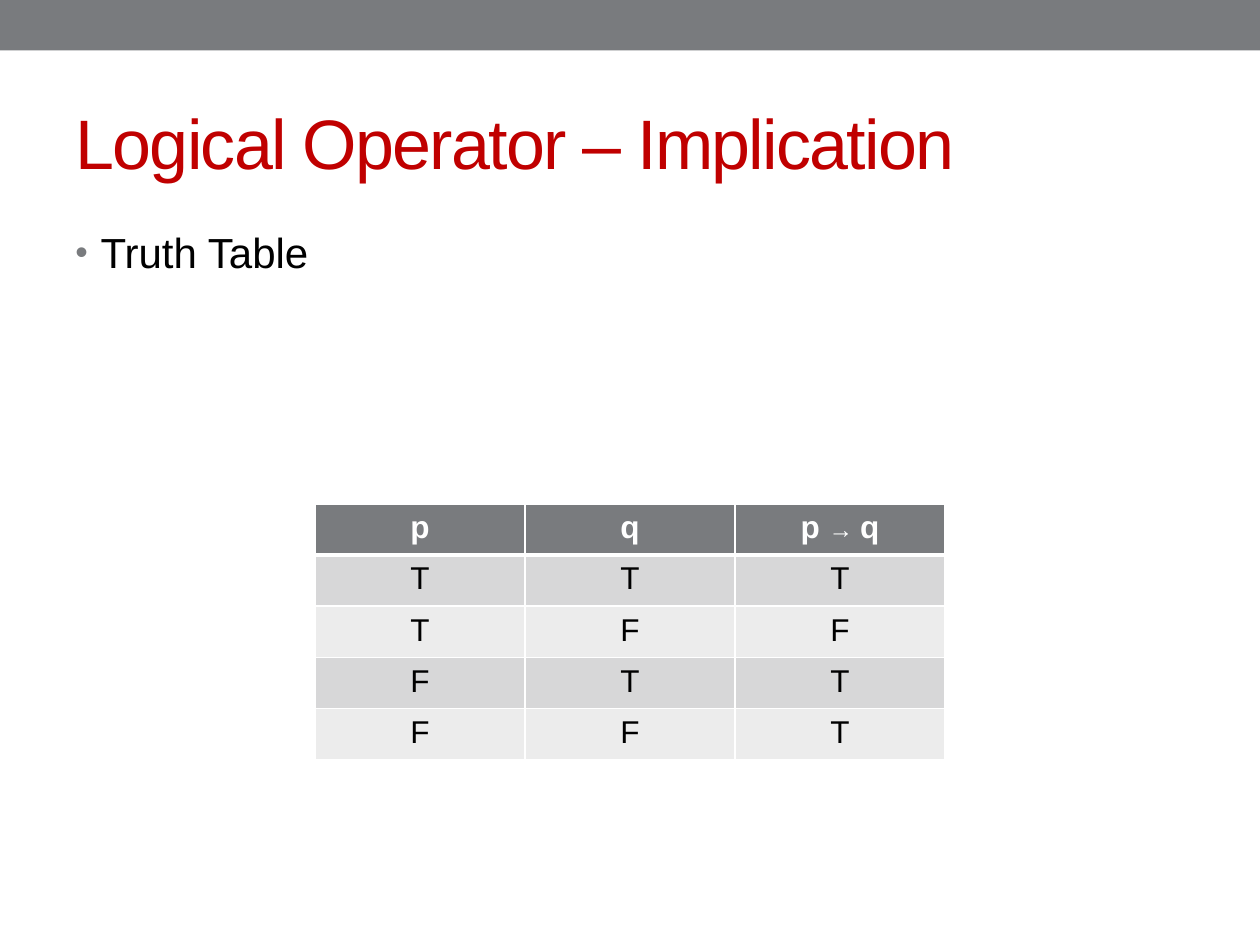
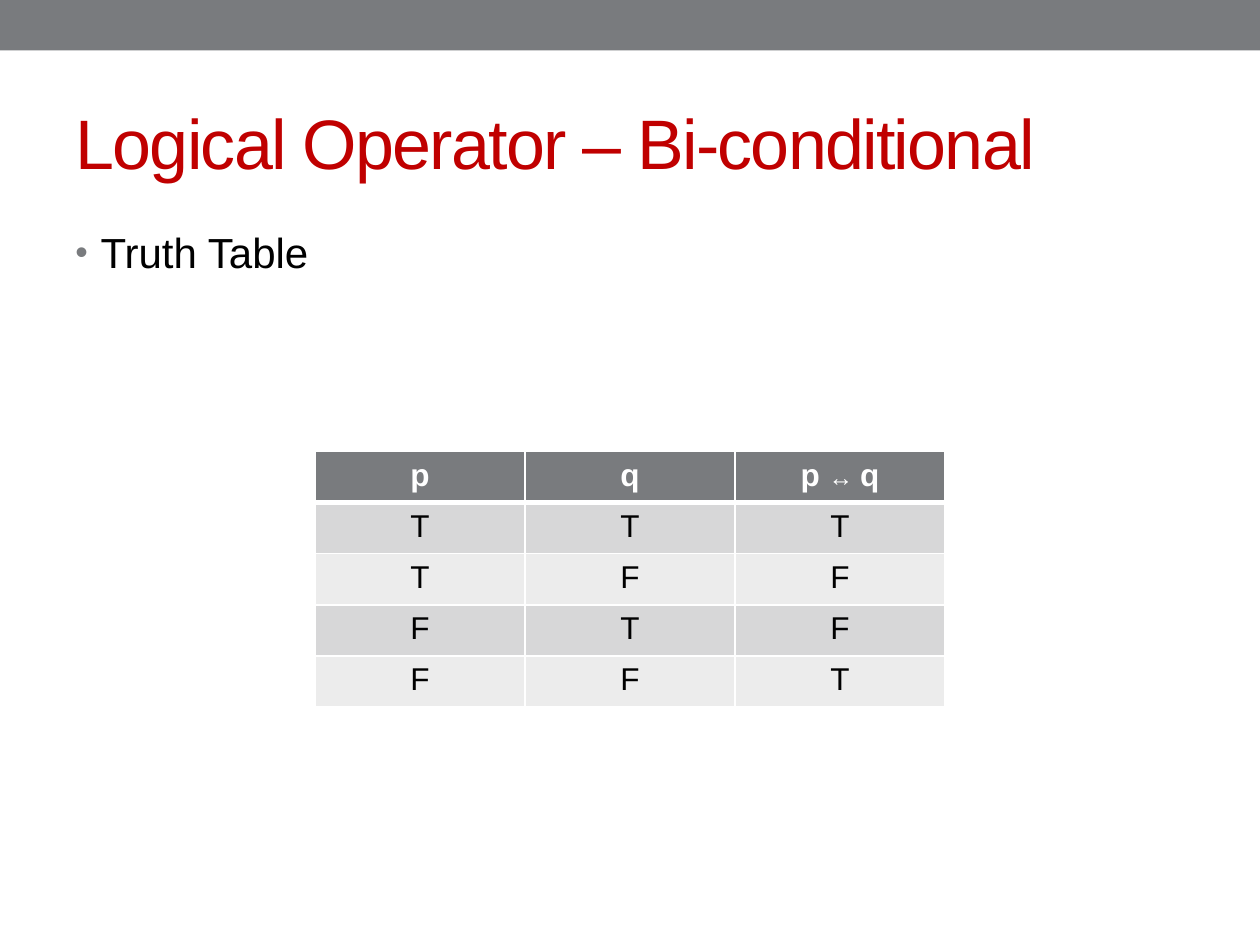
"""Builds two slides with the truth tables of implication and the bi-conditional."""
from itertools import product

from lxml.etree import SubElement
from pptx import Presentation
from pptx.dml.color import RGBColor
from pptx.enum.shapes import MSO_SHAPE
from pptx.enum.text import MSO_ANCHOR, MSO_AUTO_SIZE, PP_ALIGN
from pptx.oxml.ns import qn
from pptx.util import Pt

WIDTH, HEIGHT = 720, 540
MARGIN = 36
FONT = "Arial"
GREY, RED, BLACK, WHITE = "797B7E", "C00000", "000000", "FFFFFF"
ROW_FILLS = ("D7D7D8", "ECECEC")
COL_W, ROW_H = 120, 29.2


def rgb(value):
    return RGBColor.from_string(value)


def add_xml(parent, tag, **attrs):
    return SubElement(parent, qn(tag), attrs)


class Deck:
    def __init__(self):
        self.prs = Presentation()
        self.prs.slide_width, self.prs.slide_height = Pt(WIDTH), Pt(HEIGHT)
        self.s = None

    def slide(self, title):
        self.s = self.prs.slides.add_slide(self.prs.slide_layouts[5])
        self.band()
        self.title(title)

    def band(self):
        sp = self.s.shapes.add_shape(MSO_SHAPE.RECTANGLE, 0, 0, Pt(WIDTH), Pt(28.8))
        sp.shadow.inherit = False
        sp.fill.solid()
        sp.fill.fore_color.rgb = rgb(GREY)
        sp.line.fill.background()

    def run(self, p, text, size, color, bold=False):
        r = p.add_run()
        r.text = text
        r.font.name, r.font.size, r.font.bold = FONT, Pt(size), bold
        r.font.color.rgb = rgb(color)
        return r

    def title(self, text):
        sp = self.s.shapes.title
        sp.left, sp.top, sp.width, sp.height = Pt(MARGIN), Pt(42), Pt(WIDTH - 2 * MARGIN), Pt(78)
        tf = sp.text_frame
        tf.auto_size = MSO_AUTO_SIZE.NONE
        tf.vertical_anchor = MSO_ANCHOR.MIDDLE
        p = tf.paragraphs[0]
        p.alignment = PP_ALIGN.LEFT
        r = self.run(p, text, 40, RED)
        r.font._element.set("spc", "-100")

    def bullet(self, text):
        sp = self.s.shapes.add_textbox(Pt(MARGIN), Pt(126), Pt(WIDTH - 2 * MARGIN), Pt(384))
        tf = sp.text_frame
        tf.word_wrap = True
        p = tf.paragraphs[0]
        p.space_before = Pt(4.8)
        pPr = p._p.get_or_add_pPr()
        pPr.set("marL", str(Pt(14.4)))
        pPr.set("indent", str(-Pt(14.4)))
        add_xml(add_xml(pPr, "a:buClr"), "a:srgbClr", val=GREY)
        add_xml(pPr, "a:buSzPct", val="85000")
        add_xml(pPr, "a:buFont", typeface=FONT)
        add_xml(pPr, "a:buChar", char="•")
        self.run(p, text, 24, BLACK)

    def cell(self, cell, runs, fill, color, bold, top, bottom):
        tcPr = cell._tc.get_or_add_tcPr()
        for side, width in zip("LRTB", (1, 1, top, bottom)):
            ln = add_xml(tcPr, f"a:ln{side}", w=str(Pt(width)))
            add_xml(add_xml(ln, "a:solidFill"), "a:srgbClr", val=WHITE)
        cell.fill.solid()
        cell.fill.fore_color.rgb = rgb(fill)
        p = cell.text_frame.paragraphs[0]
        p.alignment = PP_ALIGN.CENTER
        for text, size in runs:
            self.run(p, text, size, color, bold)

    def truth_table(self, top, operator, results):
        header = [[("p", 18)], [("q", 18)], [("p ", 18), (f"{operator} ", 14), ("q", 18)]]
        inputs = product("TF", repeat=2)
        body = [[[(v, 18)] for v in (p, q, res)] for (p, q), res in zip(inputs, results)]
        rows = [header] + body
        width, height = COL_W * len(header), ROW_H * len(rows)
        table = self.s.shapes.add_table(len(rows), len(header), Pt((WIDTH - width) / 2),
                                        Pt(top), Pt(width), Pt(height)).table
        for col in table.columns:
            col.width = Pt(COL_W)
        for i, row in enumerate(rows):
            table.rows[i].height = Pt(ROW_H)
            head = i == 0
            fill = GREY if head else ROW_FILLS[(i - 1) % 2]
            for j, runs in enumerate(row):
                self.cell(table.cell(i, j), runs, fill, WHITE if head else BLACK, head,
                          top=3 if i == 1 else 1, bottom=3 if head else 1)


def main():
    deck = Deck()
    for name, top, operator, results in (("Implication", 288, "→", "TFTT"),
                                         ("Bi-conditional", 258, "↔", "TFFT")):
        deck.slide(f"Logical Operator – {name}")
        deck.bullet("Truth Table")
        deck.truth_table(top, operator, results)
    deck.prs.save("out.pptx")


if __name__ == "__main__":
    main()
